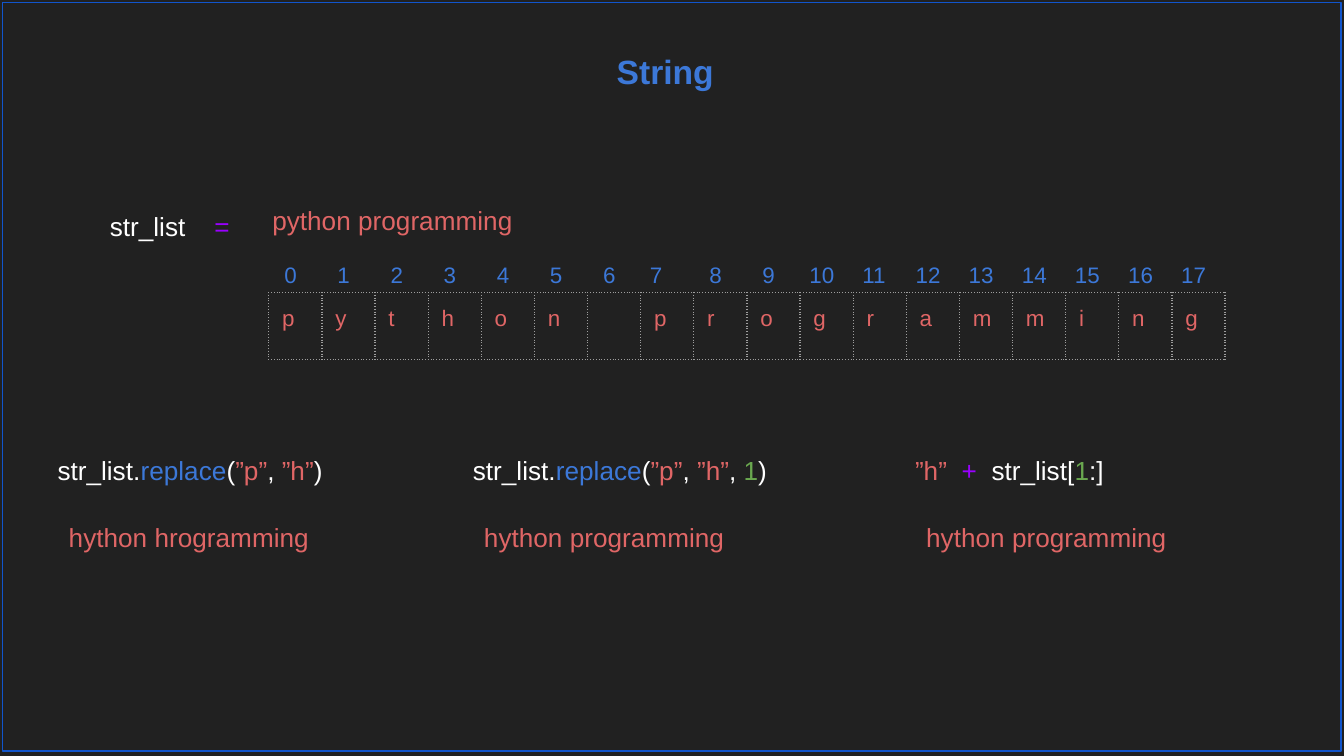
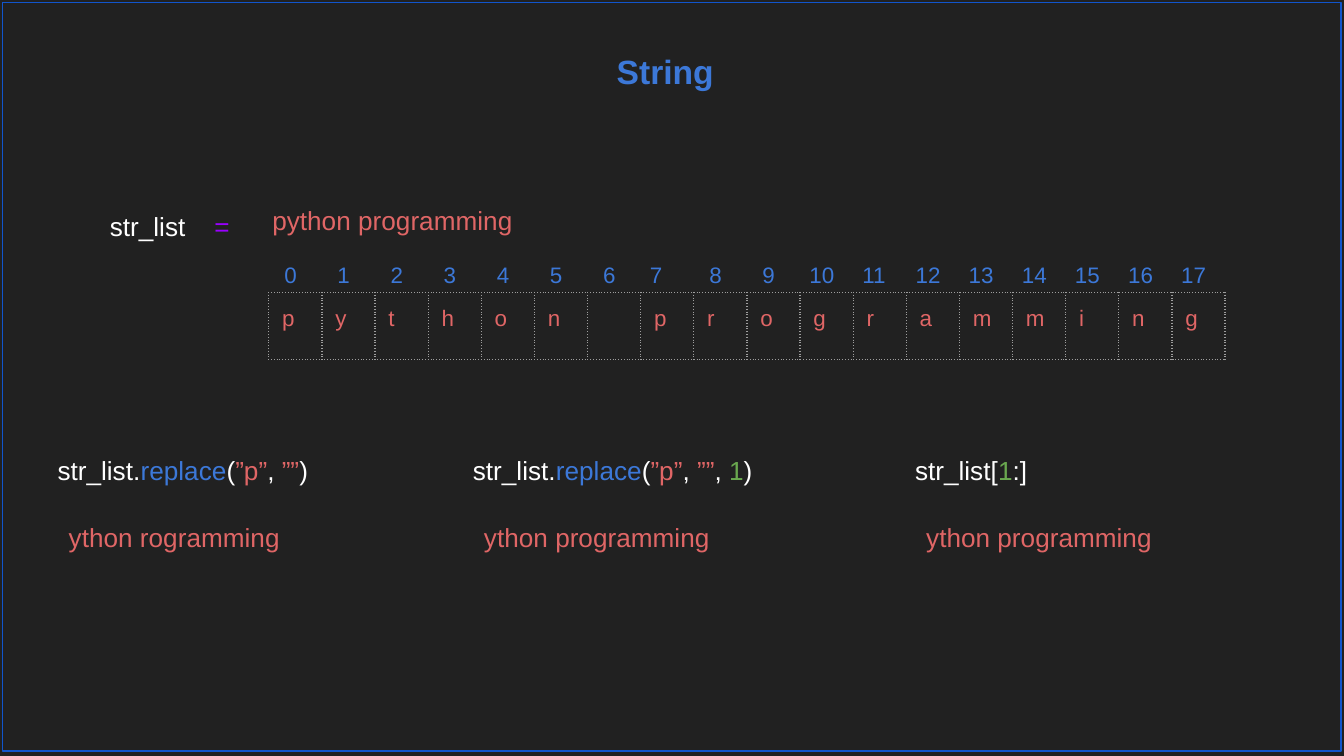
from collections import namedtuple
from dataclasses import dataclass

from lxml.etree import SubElement
from pptx import Presentation
from pptx.dml.color import RGBColor
from pptx.enum.shapes import MSO_SHAPE
from pptx.enum.text import MSO_AUTO_SIZE, PP_ALIGN
from pptx.oxml.ns import qn
from pptx.util import Pt

Box = namedtuple("Box", "left top width height")


@dataclass(frozen=True)
class Theme:
    """Colours, font and type sizes shared by the slides."""

    font: str = "Arial"
    background: str = "212121"
    frame: str = "1155CC"
    grid: str = "9E9E9E"
    accent: str = "3C78D8"
    string: str = "E06666"
    plain: str = "FFFFFF"
    operator: str = "9900FF"
    number: str = "6AA84F"
    title_size: float = 18
    code_size: float = 14
    cell_size: float = 12
    line_width: float = 0.75
    inset: float = 7.2


THEME = Theme()
MARGINS = {f"margin_{side}": Pt(THEME.inset) for side in ("left", "top", "right", "bottom")}
TEXT = "python programming"
COLUMN_WIDTH = 28.48
ROW_HEIGHT = 19.44
SPACE_INDENT = 3.33
EXAMPLE_LEFTS = (23.76, 246.24, 483.12)


def apply(target, values):
    """Set every attribute named in values on target."""
    for name, value in values.items():
        setattr(target, name, value)


def add_run(paragraph, text, colour, size, bold=False):
    """Append one coloured run to a paragraph."""
    run = paragraph.add_run()
    run.text = text
    apply(run.font, {"name": THEME.font, "size": Pt(size), "bold": bold})
    run.font.color.rgb = RGBColor.from_string(colour)


def add_text(slide, box, runs, size=THEME.code_size, bold=False, align=None, tabs=(), grow=True):
    """Place a text box holding one paragraph of coloured runs."""
    frame = slide.shapes.add_textbox(*map(Pt, box)).text_frame
    fit = MSO_AUTO_SIZE.SHAPE_TO_FIT_TEXT if grow else MSO_AUTO_SIZE.NONE
    apply(frame, {**MARGINS, "word_wrap": True, "auto_size": fit})
    paragraph = frame.paragraphs[0]
    paragraph.alignment = align
    if tabs:
        stops = SubElement(paragraph._p.get_or_add_pPr(), qn("a:tabLst"))
        for position in tabs:
            SubElement(stops, qn("a:tab"), pos=str(Pt(position)), algn="l")
    for text, colour in runs:
        add_run(paragraph, text, colour, size, bold)


def set_borders(cell, colour):
    """Draw dotted borders around a cell, or none without a colour."""
    properties = cell._tc.get_or_add_tcPr()
    for side in ("lnL", "lnR", "lnT", "lnB"):
        line = SubElement(properties, qn(f"a:{side}"), w=str(Pt(THEME.line_width)))
        if colour:
            fill = SubElement(line, qn("a:solidFill"))
            SubElement(fill, qn("a:srgbClr"), val=colour)
            SubElement(line, qn("a:prstDash"), val="dot")
        else:
            SubElement(line, qn("a:noFill"))


def add_row(slide, left, top, texts, colour, border=None, indented=()):
    """Place a one-row table with a cell for each text."""
    width = COLUMN_WIDTH * len(texts)
    table = slide.shapes.add_table(1, len(texts), Pt(left), Pt(top), Pt(width), Pt(ROW_HEIGHT)).table
    apply(table, {"first_row": False, "horz_banding": False})
    table.rows[0].height = Pt(ROW_HEIGHT)
    for position, text in enumerate(texts):
        table.columns[position].width = Pt(COLUMN_WIDTH)
        cell = table.cell(0, position)
        apply(cell, MARGINS)
        if position in indented:
            cell.margin_left = Pt(THEME.inset + SPACE_INDENT)
        set_borders(cell, border)
        cell.fill.background()
        if text.strip():
            add_run(cell.text_frame.paragraphs[0], text, colour, THEME.cell_size)


def add_variable(slide, box):
    """Show the assignment with its indexed characters."""
    left, top, _, _ = box
    add_text(slide, Box(left + 87, top, 155.5, 31.7), [(TEXT, THEME.string)])
    add_row(slide, left + 92.2, top + 54.5, TEXT, THEME.string, border=THEME.grid)
    indices = [str(index) for index in range(len(TEXT))]
    indented = set(range(10)) - {7}
    add_row(slide, left + 90, top + 31.7, indices, THEME.accent, indented=indented)
    assignment = [("str_list\t", THEME.plain), ("=", THEME.operator)]
    add_text(slide, Box(left, top + 3.6, 84.2, 31.7), assignment, tabs=(56,))


def add_example(slide, box, code, result):
    """Show an expression with its result below."""
    tabs = (25, 41) if "\t" in code[0][0] else ()
    add_text(slide, Box(box.left, box.top, box.width, 31.7), code, tabs=tabs)
    add_text(slide, Box(box.left + 6, box.top + 36, 155.5, 31.7), [(result, THEME.string)])


def add_frame(slide, box):
    """Outline the slide."""
    shape = slide.shapes.add_shape(MSO_SHAPE.RECTANGLE, *map(Pt, box))
    shape.shadow.inherit = False
    shape.fill.background()
    shape.line.color.rgb = RGBColor.from_string(THEME.frame)
    shape.line.width = Pt(THEME.line_width)


def replace_call(replacement, count=None):
    """Return the coloured runs of a replace call."""
    runs = [("str_list.", THEME.plain), ("replace", THEME.accent), ("(", THEME.plain),
            ("”p”", THEME.string), (", ", THEME.plain), (f"”{replacement}”", THEME.string)]
    if count:
        runs += [(", ", THEME.plain), (count, THEME.number)]
    return runs + [(")", THEME.plain)]


def slice_code(prefix=None):
    """Return the coloured runs of a slice, optionally after a prefix."""
    runs = [("str_list[", THEME.plain), ("1", THEME.number), (":]", THEME.plain)]
    if prefix:
        runs = [(f"”{prefix}”\t", THEME.string), ("+\t", THEME.operator)] + runs
    return runs


def add_string_slide(presentation, replacement):
    """Build a slide that replaces the first letter in three ways."""
    slide = presentation.slides.add_slide(presentation.slide_layouts[6])
    slide.background.fill.solid()
    slide.background.fill.fore_color.rgb = RGBColor.from_string(THEME.background)
    add_text(slide, Box(-3.6, 20.2, 720, 45.4), [("String", THEME.accent)],
             size=THEME.title_size, bold=True, align=PP_ALIGN.CENTER, grow=False)
    add_variable(slide, Box(51.8, 102.2, 604, 90))
    once = TEXT.replace("p", replacement, 1)
    examples = (
        (replace_call(replacement), TEXT.replace("p", replacement)),
        (replace_call(replacement, "1"), once),
        (slice_code(replacement), once),
    )
    for left, (code, result) in zip(EXAMPLE_LEFTS, examples):
        add_example(slide, Box(left, 236.2, 217.4, 67.7), code, result)
    add_frame(slide, Box(1.4, 1.4, 717.1, 401))


def main():
    """Build and save the presentation."""
    presentation = Presentation()
    apply(presentation, {"slide_width": Pt(720), "slide_height": Pt(405)})
    for replacement in ("h", ""):
        add_string_slide(presentation, replacement)
    presentation.save("out.pptx")


if __name__ == "__main__":
    main()
